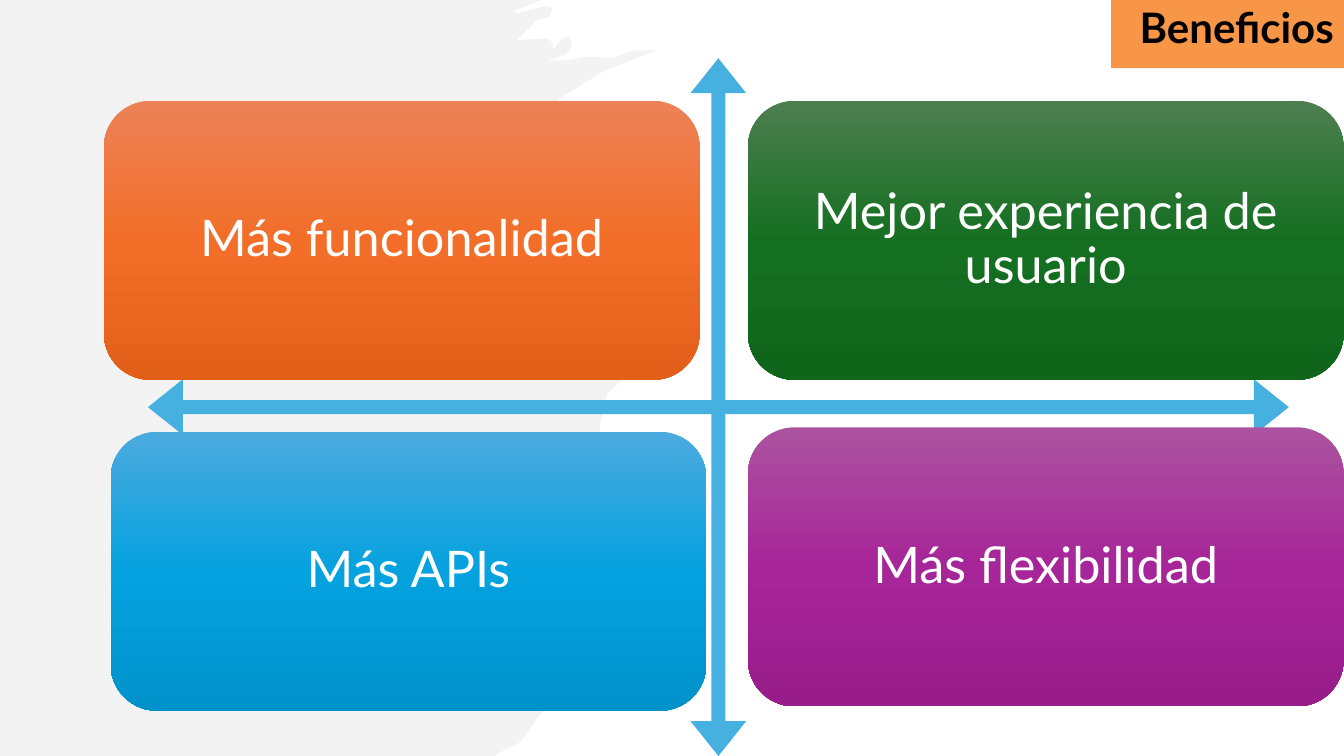
from copy import deepcopy
from pptx import Presentation
from pptx.dml.color import RGBColor as RGB
from pptx.enum.shapes import MSO_SHAPE as Kind
from pptx.enum.text import MSO_ANCHOR as Anchor, MSO_AUTO_SIZE as Fit, PP_ALIGN as Align
from pptx.oxml.ns import qn
from pptx.util import Cm, Pt

FONT = "Lato"
WHITE = RGB(0xFF, 0xFF, 0xFF)
BLACK = RGB(0x00, 0x00, 0x00)
GRAY = RGB(0xF3, 0xF3, 0xF3)
SKY = RGB(0x46, 0xB1, 0xE1)
AMBER = RGB(0xF7, 0x96, 0x46)
ORANGE = RGB(0xED, 0x82, 0x57), RGB(0xF2, 0x6E, 0x29), RGB(0xE2, 0x5F, 0x1A)
GREEN = RGB(0x4D, 0x7E, 0x50), RGB(0x15, 0x6F, 0x21), RGB(0x0F, 0x66, 0x1B)
BLUE = RGB(0x4C, 0xAA, 0xDF), RGB(0x05, 0xA2, 0xDF), RGB(0x00, 0x92, 0xCB)
PURPLE = RGB(0xAC, 0x53, 0xA0), RGB(0xA6, 0x25, 0x98), RGB(0x99, 0x1C, 0x8B)

# Ragged outline of the brush stroke, in hundredths of an inch
EDGE = [
    (0, 0), (0, 750), (491, 750), (497, 746), (517, 736), (534, 711), (541, 704),
    (555, 695), (582, 675), (572, 670), (544, 682), (524, 685), (553, 664),
    (580, 636), (559, 641), (558, 638), (576, 605), (585, 592), (626, 552),
    (587, 570), (627, 531), (647, 517), (651, 509), (643, 507), (617, 510),
    (649, 484), (625, 488), (618, 477), (606, 461), (598, 452), (595, 423),
    (602, 391), (620, 375), (615, 356), (576, 367), (634, 324), (624, 323),
    (589, 298), (587, 297), (581, 282), (562, 279), (546, 283), (529, 278),
    (513, 280), (500, 278), (513, 265), (531, 265), (544, 256), (556, 241),
    (598, 217), (606, 208), (485, 243), (522, 229), (497, 231), (483, 222),
    (483, 218), (493, 209), (499, 203), (516, 182), (504, 180), (500, 175),
    (503, 169), (539, 150), (542, 135), (535, 133), (527, 134), (534, 122),
    (559, 110), (564, 104), (558, 101), (553, 99), (600, 70), (651, 50),
    (629, 50), (607, 58), (584, 56), (562, 60), (543, 60), (561, 54), (568, 45),
    (565, 36), (558, 38), (549, 49), (548, 42), (542, 38), (513, 40), (533, 20),
    (545, 17), (548, 8), (542, 6), (513, 13), (509, 11), (525, 5),
]


def paint(shape, color):
    shape.shadow.inherit = False
    shape.fill.solid()
    shape.fill.fore_color.rgb = color
    shape.line.fill.background()


def write(shape, text, size, color, align, bold=False):
    frame = shape.text_frame
    frame.word_wrap = True
    frame.text = text
    para = frame.paragraphs[0]
    para.alignment = align
    font = para.runs[0].font
    font.name, font.size, font.bold = FONT, Pt(size), bold
    font.color.rgb = color


deck = Presentation()
deck.slide_width, deck.slide_height = Cm(33.87), Cm(19.05)
slide = deck.slides.add_slide(deck.slide_layouts[5])
shapes = slide.shapes

# Brush stroke behind the grid
brush = shapes.build_freeform(538, 0, scale=Cm(0.0254))
brush.add_line_segments(EDGE, close=True)
paint(brush.convert_to_shape(), GRAY)

# Four-way arrow
cross = shapes.add_shape(Kind.QUAD_ARROW, Cm(3.73), Cm(1.47), Cm(28.75), Cm(17.58))
for i, ratio in enumerate((0.02, 0.04, 0.05)):
    cross.adjustments[i] = ratio
paint(cross, SKY)

# Benefit cards
CARDS = [
    ("Más funcionalidad", 2.62, 2.54, ORANGE),
    ("Mejor experiencia de usuario", 18.85, 2.54, GREEN),
    ("Más APIs", 2.79, 10.88, BLUE),
    ("Más flexibilidad", 18.85, 10.77, PURPLE),
]
for text, left, top, shades in CARDS:
    card = shapes.add_shape(Kind.ROUNDED_RECTANGLE, Cm(left), Cm(top), Cm(15.01), Cm(7.03))
    card.shadow.inherit = False
    card.line.fill.background()

    # Three-step gradient running downward
    card.fill.gradient()
    card.fill.gradient_angle = 270
    stops = card._element.spPr.find(qn("a:gradFill")).find(qn("a:gsLst"))
    stops.append(deepcopy(stops[0]))
    for i, stop in enumerate(card.fill.gradient_stops):
        stop.position = i / 2
        stop.color.rgb = shades[i]

    frame = card.text_frame
    frame.margin_left = frame.margin_right = Cm(0.38)
    frame.margin_top = frame.margin_bottom = Cm(0.38)
    frame.vertical_anchor = Anchor.MIDDLE
    write(card, text, 36, WHITE, Align.CENTER)
    frame.paragraphs[0].line_spacing = 0.9

# Title tag in the corner
title = shapes.title
title.left, title.top, title.width, title.height = Cm(28), Cm(-0.08), Cm(5.87), Cm(1.8)
title.fill.solid()
title.fill.fore_color.rgb = AMBER
title.text_frame.auto_size = Fit.NONE
title.text_frame.vertical_anchor = Anchor.TOP
write(title, "Beneficios", 30, BLACK, Align.RIGHT, bold=True)

deck.save("out.pptx")
